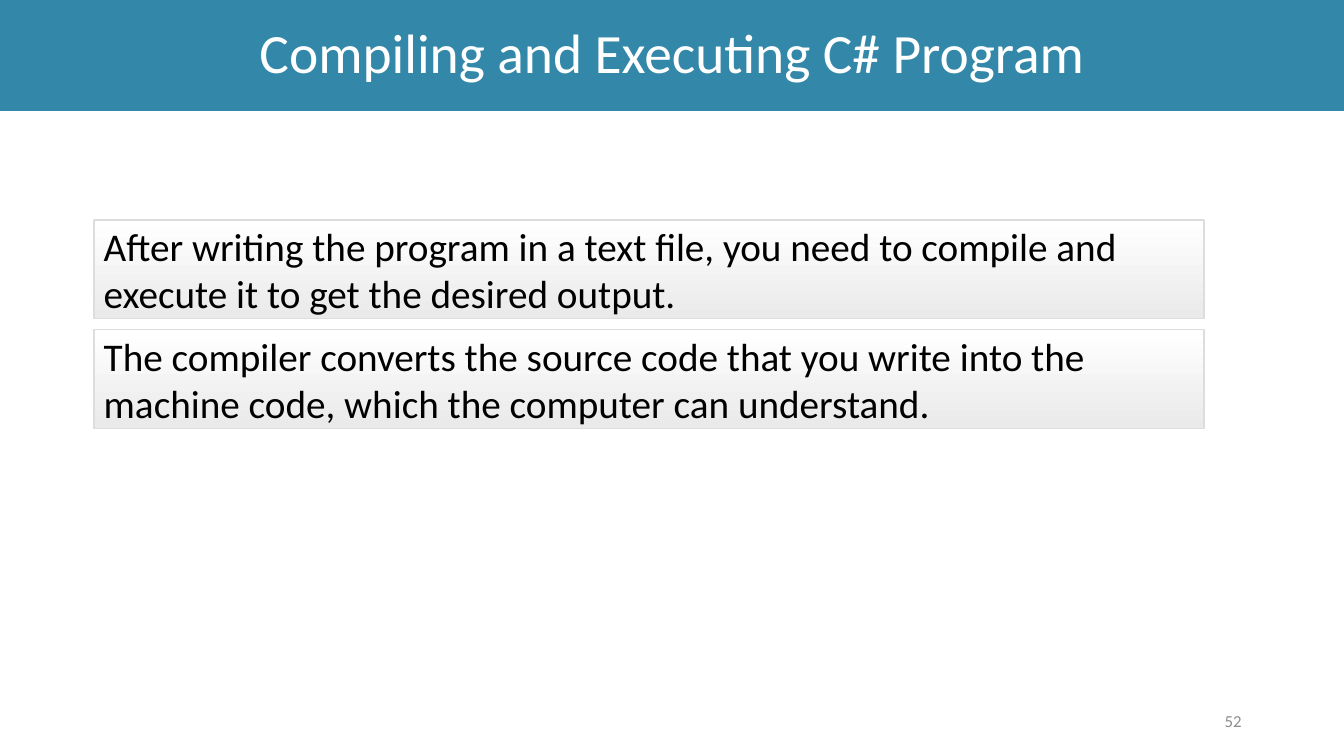
"""Builds a slide on compiling and executing a C# program."""
import pptx
import pptx.dml.color
import pptx.enum.shapes
import pptx.enum.text
import pptx.util

Pt = pptx.util.Pt
ALIGN = pptx.enum.text.PP_ALIGN

TITLE = "Compiling and Executing C# Program"
STATEMENTS = [
    "After writing the program in a text file, you need to compile and "
    "execute it to get the desired output.",
    "The compiler converts the source code that you write into the "
    "machine code, which the computer can understand.",
]
PAGE_NUMBER = "52"

COLOURS = {
    "banner": "3388A9",
    "title": "FFFFFF",
    "panel_top": "FFFFFF",
    "panel_bottom": "EAEAEA",
    "panel_line": "DDDDDD",
    "statement": "000000",
    "page_number": "8C8C8C",
}

SLIDE_WIDTH, SLIDE_HEIGHT = 960, 540
BANNER_HEIGHT = 79.2
PANEL_LEFT, PANEL_TOP = 67, 157
PANEL_WIDTH, PANEL_HEIGHT = 793, 70.6
PANEL_PITCH = 78.4


def colour(key):
    """Return the named colour."""
    return pptx.dml.color.RGBColor.from_string(COLOURS[key])


def write(shape, text, *, size, ink, align=ALIGN.LEFT, spacing=None):
    """Put one formatted paragraph into a shape."""
    frame = shape.text_frame
    frame.word_wrap = True
    frame.vertical_anchor = pptx.enum.text.MSO_ANCHOR.MIDDLE
    paragraph = frame.paragraphs[0]
    paragraph.text = text
    paragraph.alignment = align
    paragraph.line_spacing = spacing
    paragraph.font.name = "Calibri"
    paragraph.font.size = Pt(size)
    paragraph.font.color.rgb = colour(ink)


def add_box(slide, left, top, width, height):
    """Add a rectangle without shadow."""
    box = slide.shapes.add_shape(
        pptx.enum.shapes.MSO_SHAPE.RECTANGLE,
        Pt(left), Pt(top), Pt(width), Pt(height))
    box.shadow.inherit = False
    return box


def main():
    """Build and save the slide."""
    deck = pptx.Presentation()
    deck.slide_width, deck.slide_height = Pt(SLIDE_WIDTH), Pt(SLIDE_HEIGHT)
    slide = deck.slides.add_slide(deck.slide_layouts[6])

    banner = add_box(slide, 0, 0, SLIDE_WIDTH, BANNER_HEIGHT)
    banner.fill.solid()
    banner.fill.fore_color.rgb = colour("banner")
    banner.line.fill.background()
    write(banner, TITLE, size=39.6, ink="title", align=ALIGN.CENTER, spacing=0.9)

    page_number = slide.shapes.add_textbox(Pt(678), Pt(500.5), Pt(216), Pt(28.8))
    write(page_number, PAGE_NUMBER, size=12, ink="page_number", align=ALIGN.RIGHT)

    for index, statement in enumerate(STATEMENTS):
        panel = add_box(slide, PANEL_LEFT, PANEL_TOP + index * PANEL_PITCH,
                        PANEL_WIDTH, PANEL_HEIGHT)
        panel.fill.gradient()
        panel.fill.gradient_angle = 270
        for stop, key in zip(panel.fill.gradient_stops, ("panel_top", "panel_bottom")):
            stop.color.rgb = colour(key)
        panel.line.color.rgb = colour("panel_line")
        panel.line.width = Pt(1)
        write(panel, statement, size=28, ink="statement")

    deck.save("out.pptx")


if __name__ == "__main__":
    main()
